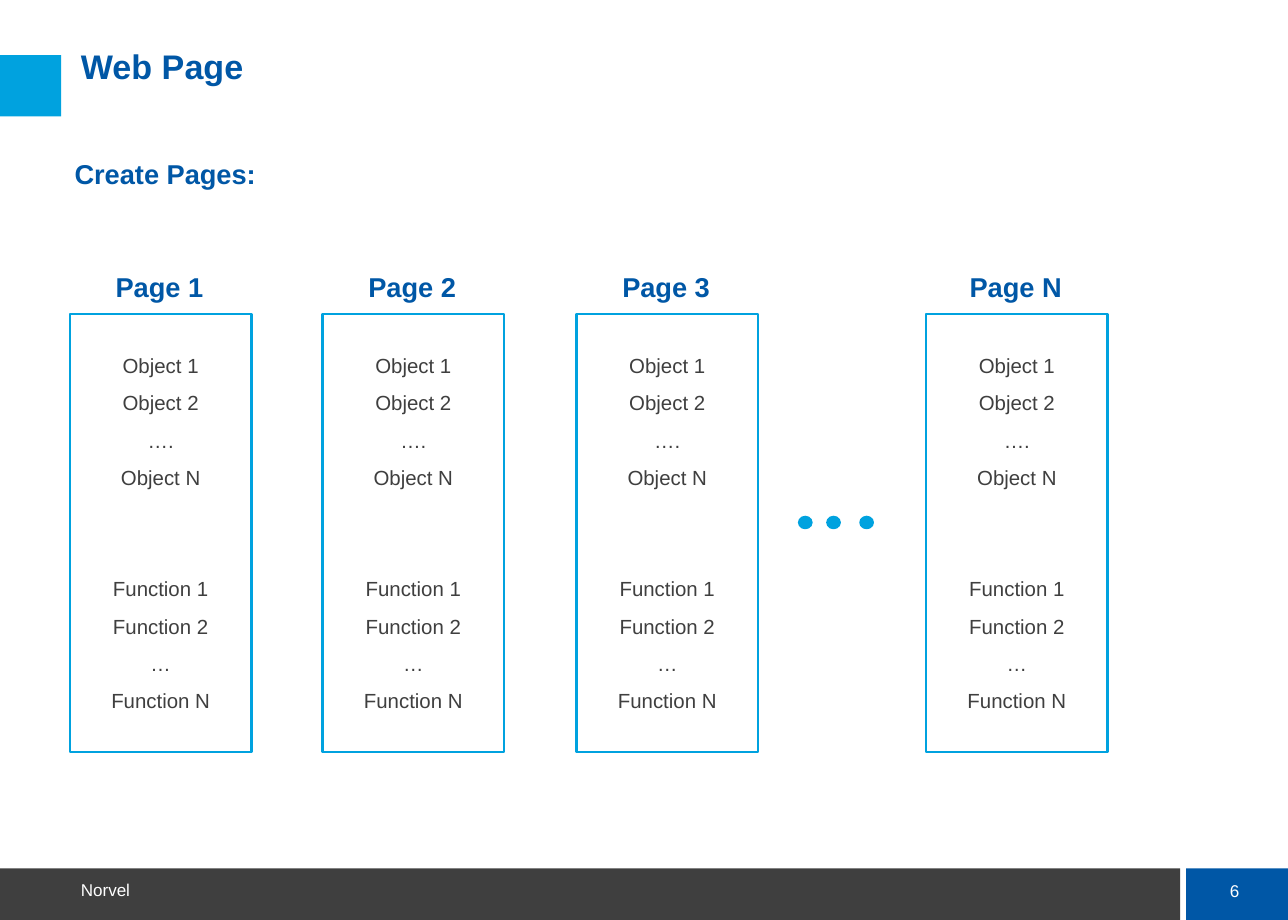
from pptx import Presentation
from pptx.dml.color import RGBColor
from pptx.enum.shapes import MSO_SHAPE
from pptx.enum.text import MSO_ANCHOR, PP_ALIGN
from pptx.util import Inches, Pt

RECT, OVAL = MSO_SHAPE.RECTANGLE, MSO_SHAPE.OVAL
TOP, MIDDLE, BOTTOM = MSO_ANCHOR.TOP, MSO_ANCHOR.MIDDLE, MSO_ANCHOR.BOTTOM
LEFT, CENTER = PP_ALIGN.LEFT, PP_ALIGN.CENTER

NAVY = RGBColor(0x00, 0x57, 0xA6)
SKY = RGBColor(0x00, 0xA2, 0xDF)
CHARCOAL = RGBColor(0x3F, 0x3F, 0x3F)
WHITE = RGBColor(0xFF, 0xFF, 0xFF)

FONT = "Arial"
OBJECTS = ["Object 1", "Object 2", "….", "Object N"]
FUNCTIONS = ["Function 1", "Function 2", "…", "Function N"]
PAGE_LEFTS = {"Page 1": 0.57, "Page 2": 2.63, "Page 3": 4.7, "Page N": 7.55}
DOT_LEFTS = [6.51, 6.74, 7.01]


def add_shape(slide, preset, box, fill=None, line=None, line_width=0.75):
    """Draw a preset shape without shadow in the box (left, top, width, height)."""
    shape = slide.shapes.add_shape(preset, *map(Inches, box))
    shape.shadow.inherit = False
    if fill is None:
        shape.fill.background()
    else:
        shape.fill.solid()
        shape.fill.fore_color.rgb = fill
    if line is None:
        shape.line.fill.background()
    else:
        shape.line.color.rgb = line
        shape.line.width = Pt(line_width)
    return shape


def write(frame, text, size, color, bold=False, align=LEFT, anchor=TOP, inset=0.0, wrap=True):
    """Fill a text frame with uniformly formatted paragraphs."""
    frame.text = text
    frame.word_wrap = wrap
    frame.vertical_anchor = anchor
    frame.margin_left = frame.margin_right = Inches(inset)
    frame.margin_top = frame.margin_bottom = Inches(inset)
    for paragraph in frame.paragraphs:
        paragraph.alignment = align
        font = paragraph.font
        font.name, font.size, font.bold = FONT, Pt(size), bold
        font.color.rgb = color


def add_text(slide, box, text, size, color, **style):
    """Add a text box with formatted text."""
    frame = slide.shapes.add_textbox(*map(Inches, box)).text_frame
    write(frame, text, size, color, **style)
    return frame


def add_header(slide, left, top):
    """Place the accent square and the slide title."""
    add_shape(slide, RECT, (left, top, 0.5, 0.5), fill=SKY)
    title = add_text(slide, (left + 0.66, top - 0.04, 8.96, 0.66), "Web Page", 20, NAVY, bold=True)
    title.paragraphs[0].line_spacing = 0.9


def add_footer(slide, left, top, height):
    """Place the footer bar, its company name and the page number."""
    add_shape(slide, RECT, (left, top, 9.62, height), fill=CHARCOAL)
    add_shape(slide, RECT, (left + 9.67, top, 0.83, height), fill=NAVY)
    add_text(slide, (left + 0.66, top + 0.07, 4.19, 0.19), "Norvel", 10, WHITE, anchor=BOTTOM)
    add_text(slide, (left + 9.82, top + 0.05, 0.49, 0.27), "6", 10, WHITE,
             align=CENTER, anchor=MIDDLE)


def add_page(slide, heading, left, top, width, height):
    """Place one page outline with its heading, objects and functions."""
    outline = add_shape(slide, RECT, (left, top, width, height), line=SKY, line_width=1.5)
    frame = outline.text_frame
    write(frame, "\n".join(OBJECTS + FUNCTIONS), 12, CHARCOAL,
          align=CENTER, anchor=MIDDLE, inset=0.1, wrap=False)
    for paragraph in frame.paragraphs[1:]:
        paragraph.space_before = Pt(7.5)
    frame.paragraphs[len(OBJECTS)].space_before = Pt(51)
    add_text(slide, (left - 0.01, top - 0.46, width, 0.47), heading, 16, NAVY,
             bold=True, align=CENTER, inset=0.1)


def add_pages(slide, top, width, height):
    """Place the row of pages and the dots that stand for the pages between."""
    for heading, left in PAGE_LEFTS.items():
        add_page(slide, heading, left, top, width, height)
    for left in DOT_LEFTS:
        add_shape(slide, OVAL, (left, top + 1.65, 0.11, 0.1), fill=SKY, line=SKY)


def main():
    """Build the slide and save it."""
    deck = Presentation()
    deck.slide_width, deck.slide_height = Inches(10.5), Inches(7.5)
    slide = deck.slides.add_slide(deck.slide_layouts[6])
    add_footer(slide, 0, 7.08, 0.42)
    add_header(slide, 0, 0.45)
    add_text(slide, (0.51, 1.18, 3.33, 0.47), "Create Pages:", 16, NAVY, bold=True, inset=0.1)
    add_pages(slide, 2.56, 1.48, 3.57)
    deck.save("out.pptx")


if __name__ == "__main__":
    main()
